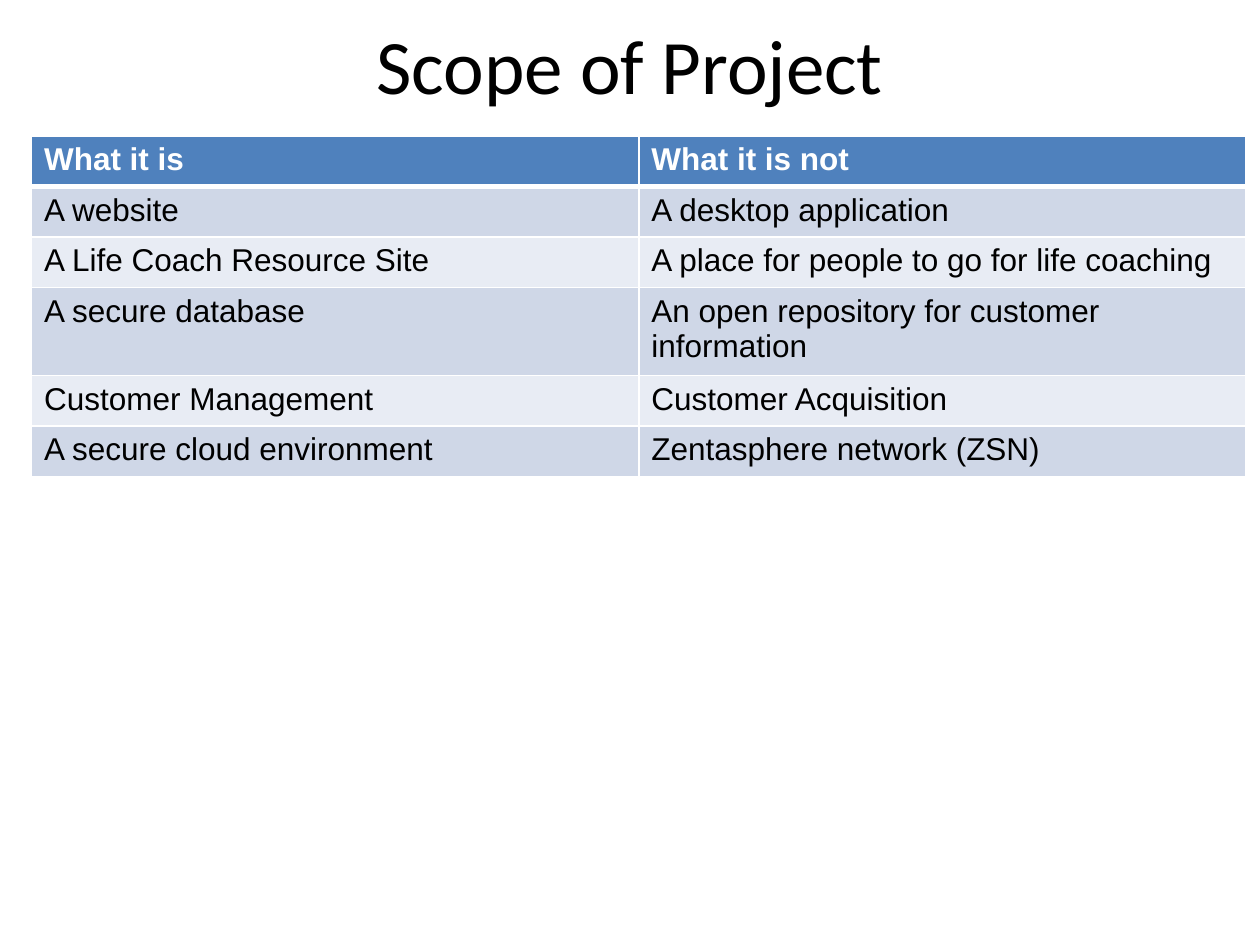
import pptx
import pptx.dml.color
import pptx.enum.text
import pptx.oxml
import pptx.oxml.ns
import pptx.util
from pptx.util import Inches

ROWS = [
    ("What it is", "What it is not"),
    ("A website", "A desktop application"),
    ("A Life Coach Resource Site", "A place for people to go for life coaching"),
    ("A secure database", "An open repository for customer information"),
    ("Customer Management", "Customer Acquisition"),
    ("A secure cloud environment", "Zentasphere network (ZSN)"),
]
HEADER_FILL = "4F81BD"
BAND_FILLS = ("E8ECF4", "CFD7E7")
COLUMN_WIDTH = 4.82
ROW_HEIGHT = 0.35


def color(hex_string):
    return pptx.dml.color.RGBColor.from_string(hex_string)


def write_text(text_frame, text, font="Arial", size=18, fill="000000",
               bold=False, align=pptx.enum.text.PP_ALIGN.LEFT):
    paragraph = text_frame.paragraphs[0]
    paragraph.alignment = align
    run = paragraph.add_run()
    run.text = text
    run.font.name = font
    run.font.size = pptx.util.Pt(size)
    run.font.bold = bold
    run.font.color.rgb = color(fill)


def set_borders(cell, hex_string="FFFFFF", **widths):
    """Draw the L, R, T and B borders, 1 pt unless a width is given."""
    properties = cell._tc.get_or_add_tcPr()
    for index, side in enumerate("LRTB"):
        width = pptx.util.Pt(widths.get(side, 1))
        # The schema wants borders ahead of the cell fill.
        properties.insert(index, pptx.oxml.parse_xml(
            f'<a:ln{side} {pptx.oxml.ns.nsdecls("a")} w="{width}"><a:solidFill>'
            f'<a:srgbClr val="{hex_string}"/></a:solidFill></a:ln{side}>'))


def add_title(slide, text):
    box = slide.shapes.add_textbox(Inches(0.5), Inches(0.08), Inches(9), Inches(0.86))
    frame = box.text_frame
    frame.word_wrap = True
    frame.vertical_anchor = pptx.enum.text.MSO_ANCHOR.MIDDLE
    write_text(frame, text, font="Calibri", size=44,
               align=pptx.enum.text.PP_ALIGN.CENTER)


def add_scope_table(slide, rows):
    column_count = len(rows[0])
    table = slide.shapes.add_table(
        len(rows), column_count, Inches(0.25), Inches(1.08),
        Inches(COLUMN_WIDTH * column_count), Inches(ROW_HEIGHT * len(rows))).table
    for column in table.columns:
        column.width = Inches(COLUMN_WIDTH)
    for row_index, texts in enumerate(rows):
        table.rows[row_index].height = Inches(ROW_HEIGHT)
        is_header = row_index == 0
        for column_index, text in enumerate(texts):
            cell = table.cell(row_index, column_index)
            cell.fill.solid()
            cell.fill.fore_color.rgb = color(
                HEADER_FILL if is_header else BAND_FILLS[row_index % 2])
            set_borders(cell, T=3 if row_index == 1 else 1, B=3 if is_header else 1)
            write_text(cell.text_frame, text, bold=is_header,
                       fill="FFFFFF" if is_header else "000000")


def main():
    presentation = pptx.Presentation()
    presentation.slide_width = Inches(10)
    presentation.slide_height = Inches(7.5)
    slide = presentation.slides.add_slide(presentation.slide_layouts[6])
    add_title(slide, "Scope of Project")
    add_scope_table(slide, ROWS)
    presentation.save("out.pptx")


if __name__ == "__main__":
    main()
